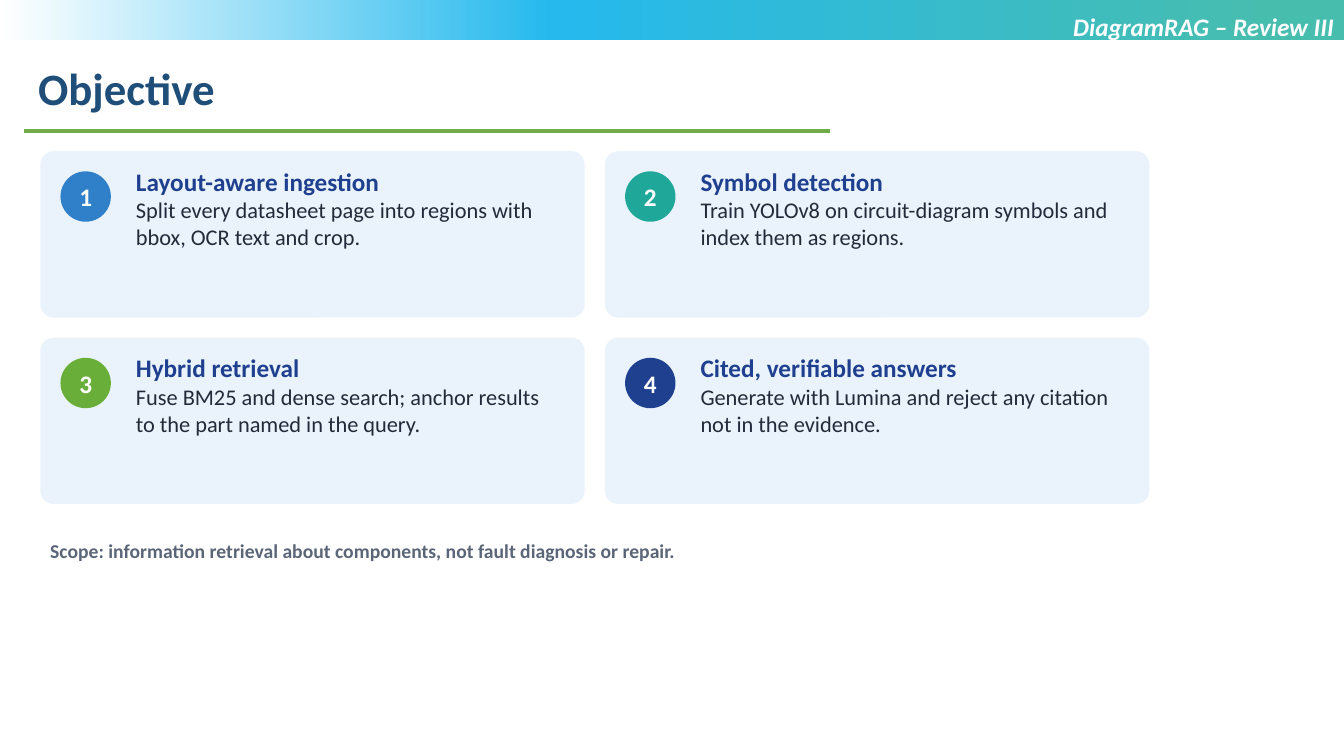
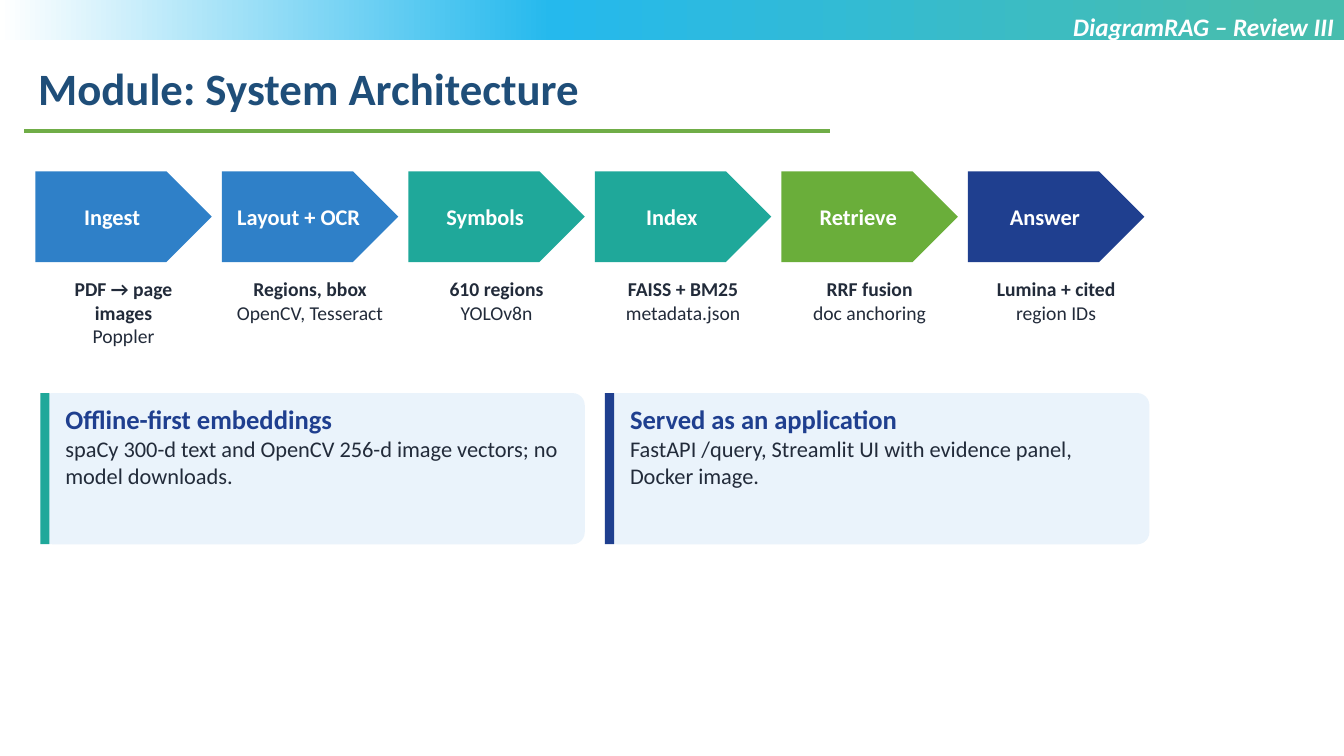
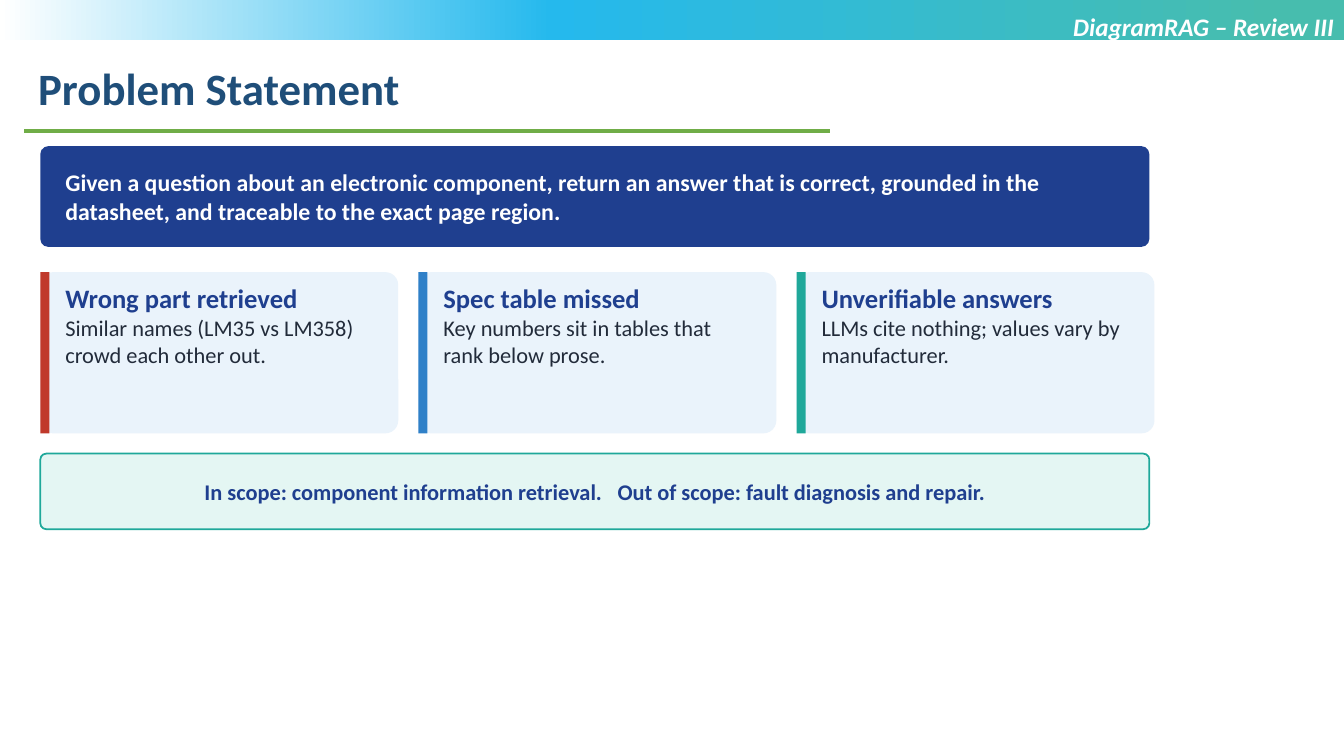
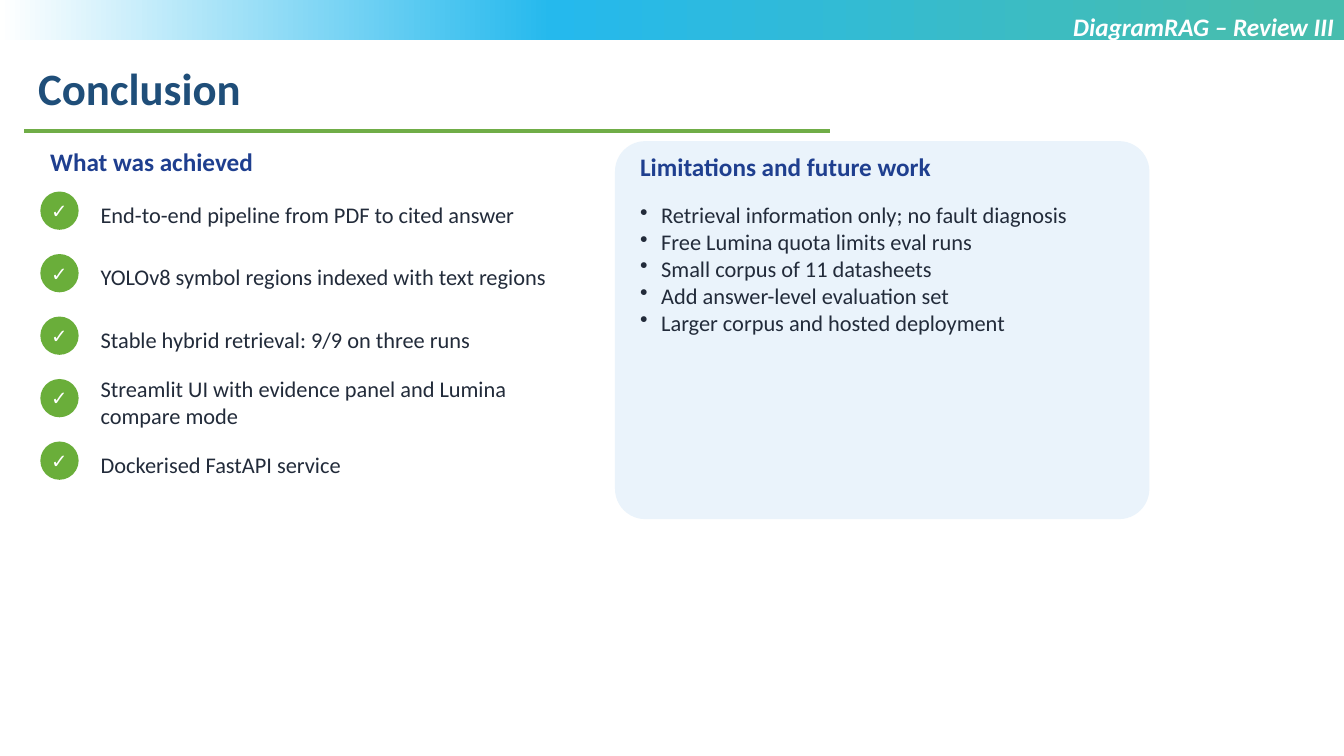
from copy import deepcopy
from dataclasses import dataclass

from lxml import etree
from pptx import Presentation
from pptx.dml.color import RGBColor
from pptx.enum.shapes import MSO_CONNECTOR, MSO_SHAPE
from pptx.enum.text import MSO_ANCHOR, MSO_AUTO_SIZE, PP_ALIGN
from pptx.oxml.ns import qn
from pptx.util import Inches, Pt

LEFT, CENTER, RIGHT = PP_ALIGN.LEFT, PP_ALIGN.CENTER, PP_ALIGN.RIGHT
TOP, MIDDLE = MSO_ANCHOR.TOP, MSO_ANCHOR.MIDDLE
RECTANGLE, ROUNDED = MSO_SHAPE.RECTANGLE, MSO_SHAPE.ROUNDED_RECTANGLE
OVAL, PENTAGON = MSO_SHAPE.OVAL, MSO_SHAPE.PENTAGON


@dataclass(frozen=True)
class Theme:
    font: str = "Calibri"
    title: str = "1F4E79"
    rule: str = "70AD47"
    white: str = "FFFFFF"
    navy: str = "1F3F8F"
    blue: str = "2F80C8"
    teal: str = "1FA89A"
    green: str = "6AAE3A"
    red: str = "C0392B"
    ink: str = "222B3A"
    muted: str = "5A6678"
    card: str = "EAF3FB"
    mint: str = "E4F6F3"
    band: tuple = ((0.05, "47BDAE"), (0.59, "25B9ED"), (1, "FFFFFF"))
    title_size: int = 32
    panel_size: int = 19
    heading_size: int = 18
    statement_size: int = 17
    body_size: int = 16
    small_size: int = 14


THEME = Theme()
MARGIN = 0.4
CONTENT_WIDTH = 11
GAP = 0.2
CARD_WIDTH = (CONTENT_WIDTH - GAP) / 2


def rgb(value):
    return RGBColor.from_string(value)


def add_text(frame, text, *, size=THEME.body_size, color=THEME.ink, bold=False,
             italic=False, align=LEFT, bullet=False, wide_space=None):
    """Add a paragraph; wide_space adds points after the mark "|", shown as one space."""
    paragraph = frame.paragraphs[0]
    if paragraph.runs:
        paragraph = frame.add_paragraph()
    paragraph.alignment = align
    if bullet:
        properties = paragraph._p.get_or_add_pPr()
        properties.set("marL", str(Inches(0.21)))
        properties.set("indent", str(-Inches(0.21)))
        etree.SubElement(properties, qn("a:buChar")).set("char", "•")
    pieces = text.replace("|", "| |").split("|") if wide_space else [text]
    for piece in pieces:
        run = paragraph.add_run()
        run.text = piece
        font = run.font
        font.name, font.size = THEME.font, Pt(size)
        font.bold, font.italic = bold, italic
        font.color.rgb = rgb(color)
        if piece == " ":
            run._r.get_or_add_rPr().set("spc", str(round(wide_space * 100)))


class Deck:
    def __init__(self):
        self.presentation = Presentation()
        self.presentation.slide_width = Inches(13.33)
        self.presentation.slide_height = Inches(7.5)
        self.slide = None

    def shape(self, kind, left, top, width, height, fill=None, line=None, inset=None):
        shape = self.slide.shapes.add_shape(
            kind, Inches(left), Inches(top), Inches(width), Inches(height))
        shape.shadow.inherit = False
        if kind == ROUNDED:
            shape.adjustments[0] = 0.08
        if fill:
            shape.fill.solid()
            shape.fill.fore_color.rgb = rgb(fill)
        if line:
            shape.line.color.rgb = rgb(line)
            shape.line.width = Pt(1.25)
        else:
            shape.line.fill.background()
        frame = shape.text_frame
        frame.word_wrap = True
        frame.vertical_anchor = MIDDLE
        if inset is not None:
            frame.margin_left = frame.margin_right = Inches(inset)
        return shape

    def text_box(self, left, top, width, height, anchor=TOP):
        box = self.slide.shapes.add_textbox(
            Inches(left), Inches(top), Inches(width), Inches(height))
        frame = box.text_frame
        frame.word_wrap = True
        frame.auto_size = MSO_AUTO_SIZE.SHAPE_TO_FIT_TEXT
        frame.vertical_anchor = anchor
        return frame

    def label(self, text, left, top, width, height, anchor=TOP, **text_format):
        add_text(self.text_box(left, top, width, height, anchor), text, **text_format)

    def heading_and_body(self, heading, body, left, top, width, height, size):
        frame = self.text_box(left, top, width, height)
        add_text(frame, heading, size=size, color=THEME.navy, bold=True)
        add_text(frame, body)

    def gradient_band(self):
        band = self.shape(RECTANGLE, 0, 0, 13.33, 0.4)
        band.fill.gradient()
        band.fill.gradient_angle = 180
        stop_list = band.element.spPr.find(f".//{qn('a:gsLst')}")
        stop_list.append(deepcopy(stop_list[-1]))
        for stop, (position, color) in zip(band.fill.gradient_stops, THEME.band):
            stop.position = position
            stop.color.rgb = rgb(color)

    def title_rule(self):
        rule = self.slide.shapes.add_connector(
            MSO_CONNECTOR.STRAIGHT, Inches(0.24), Inches(1.3), Inches(8.23), Inches(1.3))
        rule.line.color.rgb = rgb(THEME.rule)
        rule.line.width = Pt(2.25)
        etree.SubElement(rule.element.spPr, qn("a:effectLst"))

    def new_slide(self, title):
        self.slide = self.presentation.slides.add_slide(self.presentation.slide_layouts[6])
        self.gradient_band()
        self.label(title, 0.28, 0.55, 11.62, 0.71,
                   size=THEME.title_size, color=THEME.title, bold=True)
        self.title_rule()
        self.label("DiagramRAG – Review III", 6.66, 0.06, 6.67, 0.71, align=RIGHT,
                   size=THEME.heading_size, color=THEME.white, bold=True, italic=True)

    def badge(self, text, left, top, diameter, fill, size):
        circle = self.shape(OVAL, left, top, diameter, diameter, fill, inset=0)
        add_text(circle.text_frame, text, size=size, color=THEME.white, bold=True, align=CENTER)

    def numbered_card(self, number, heading, body, left, top, color):
        self.shape(ROUNDED, left, top, CARD_WIDTH, 1.65, THEME.card)
        self.badge(str(number), left + 0.2, top + 0.2, 0.5, color, THEME.heading_size)
        self.heading_and_body(heading, body, left + 0.85, top + 0.1, 4.4, 1.5,
                              THEME.heading_size)

    def accent_cards(self, cards, top, width, height):
        """Lay out a row of cards, each with a coloured bar on its left edge."""
        for column, (heading, body, color) in enumerate(cards):
            left = MARGIN + column * (width + GAP)
            self.shape(ROUNDED, left, top, width, height, THEME.card)
            self.shape(RECTANGLE, left, top, 0.09, height, color)
            self.heading_and_body(heading, body, left + 0.15, top + 0.05, width - 0.25,
                                  height - 0.1, THEME.panel_size)

    def stage(self, name, result, tool, left, color):
        arrow = self.shape(PENTAGON, left, 1.7, 1.75, 0.9, color, inset=0.02)
        add_text(arrow.text_frame, name, color=THEME.white, bold=True, align=CENTER)
        frame = self.text_box(left, 2.7, 1.75, 0.9)
        add_text(frame, result, size=THEME.small_size, bold=True, align=CENTER)
        add_text(frame, tool, size=THEME.small_size, align=CENTER)

    def check_item(self, text, top):
        self.badge("✓", MARGIN, top, 0.38, THEME.green, THEME.small_size)
        self.label(text, 0.9, top - 0.05, 4.9, 0.55, MIDDLE)


def objective_slide(deck):
    deck.new_slide("Objective")
    cards = [
        ("Layout-aware ingestion",
         "Split every datasheet page into regions with bbox, OCR text and crop.", THEME.blue),
        ("Symbol detection",
         "Train YOLOv8 on circuit-diagram symbols and index them as regions.", THEME.teal),
        ("Hybrid retrieval",
         "Fuse BM25 and dense search; anchor results to the part named in the query.",
         THEME.green),
        ("Cited, verifiable answers",
         "Generate with Lumina and reject any citation not in the evidence.", THEME.navy),
    ]
    for index, (heading, body, color) in enumerate(cards):
        row, column = divmod(index, 2)
        deck.numbered_card(index + 1, heading, body, MARGIN + column * (CARD_WIDTH + GAP),
                           1.5 + row * (1.65 + GAP), color)
    deck.label("Scope: information retrieval about components, not fault diagnosis or repair.",
               MARGIN, 5.3, CONTENT_WIDTH, 0.5,
               size=THEME.small_size, color=THEME.muted, bold=True)


def architecture_slide(deck):
    deck.new_slide("Module: System Architecture")
    stages = [
        ("Ingest", "PDF → page images", "Poppler", THEME.blue),
        ("Layout + OCR", "Regions, bbox", "OpenCV, Tesseract", THEME.blue),
        ("Symbols", "610 regions", "YOLOv8n", THEME.teal),
        ("Index", "FAISS + BM25", "metadata.json", THEME.teal),
        ("Retrieve", "RRF fusion", "doc anchoring", THEME.green),
        ("Answer", "Lumina + cited", "region IDs", THEME.navy),
    ]
    for index, (name, result, tool, color) in enumerate(stages):
        deck.stage(name, result, tool, 0.35 + index * 1.85, color)
    deck.accent_cards([
        ("Offline-first embeddings",
         "spaCy 300-d text and OpenCV 256-d image vectors; no model downloads.", THEME.teal),
        ("Served as an application",
         "FastAPI /query, Streamlit UI with evidence panel, Docker image.", THEME.navy),
    ], 3.9, CARD_WIDTH, 1.5)


def problem_slide(deck):
    deck.new_slide("Problem Statement")
    deck.shape(ROUNDED, MARGIN, 1.45, CONTENT_WIDTH, 1, THEME.navy)
    deck.label("Given a question about an electronic component, return an answer that is "
               "correct, grounded in the datasheet, and traceable to the exact page region.",
               0.55, 1.5, 10.7, 0.9, MIDDLE,
               size=THEME.statement_size, color=THEME.white, bold=True)
    deck.accent_cards([
        ("Wrong part retrieved",
         "Similar names (LM35 vs LM358) crowd each other out.", THEME.red),
        ("Spec table missed",
         "Key numbers sit in tables that rank below prose.", THEME.blue),
        ("Unverifiable answers",
         "LLMs cite nothing; values vary by manufacturer.", THEME.teal),
    ], 2.7, 3.55, 1.6)
    scope = deck.shape(ROUNDED, MARGIN, 4.5, CONTENT_WIDTH, 0.75, THEME.mint, line=THEME.teal)
    add_text(scope.text_frame,
             "In scope: component information retrieval.|"
             "Out of scope: fault diagnosis and repair.",
             color=THEME.navy, bold=True, align=CENTER, wide_space=7.2)


def conclusion_slide(deck):
    deck.new_slide("Conclusion")
    heading_format = {"size": THEME.heading_size, "color": THEME.navy, "bold": True}
    deck.label("What was achieved", MARGIN, 1.4, 5.4, 0.4, **heading_format)
    achievements = [
        "End-to-end pipeline from PDF to cited answer",
        "YOLOv8 symbol regions indexed with text regions",
        "Stable hybrid retrieval: 9/9 on three runs",
        "Streamlit UI with evidence panel and Lumina compare mode",
        "Dockerised FastAPI service",
    ]
    for index, achievement in enumerate(achievements):
        deck.check_item(achievement, 1.9 + index * 0.62)
    deck.shape(ROUNDED, 6.1, 1.4, 5.3, 3.75, THEME.card)
    deck.label("Limitations and future work", 6.25, 1.45, 5, 0.4, **heading_format)
    limitations = deck.text_box(6.25, 1.95, 5, 3.1)
    for limitation in [
        "Retrieval information only; no fault diagnosis",
        "Free Lumina quota limits eval runs",
        "Small corpus of 11 datasheets",
        "Add answer-level evaluation set",
        "Larger corpus and hosted deployment",
    ]:
        add_text(limitations, limitation, bullet=True)


def main():
    deck = Deck()
    for build_slide in (objective_slide, architecture_slide, problem_slide, conclusion_slide):
        build_slide(deck)
    deck.presentation.save("out.pptx")


if __name__ == "__main__":
    main()
